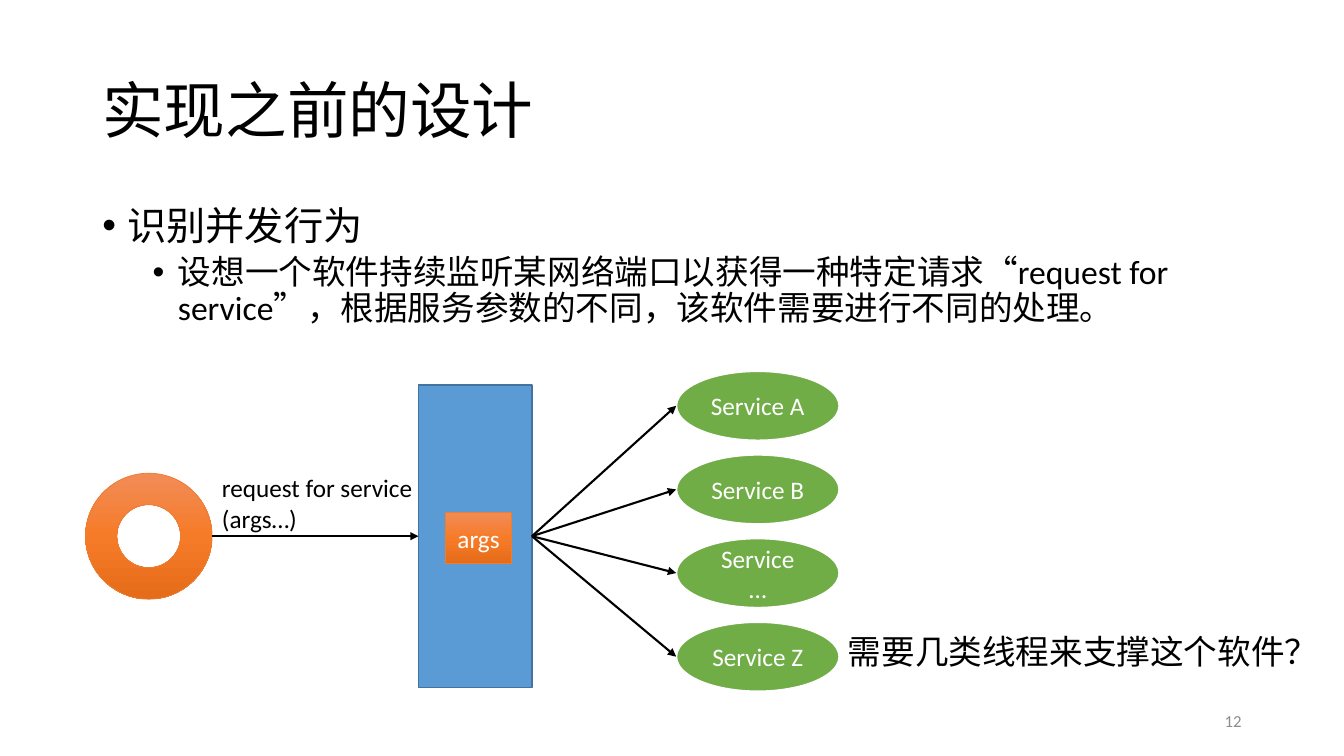
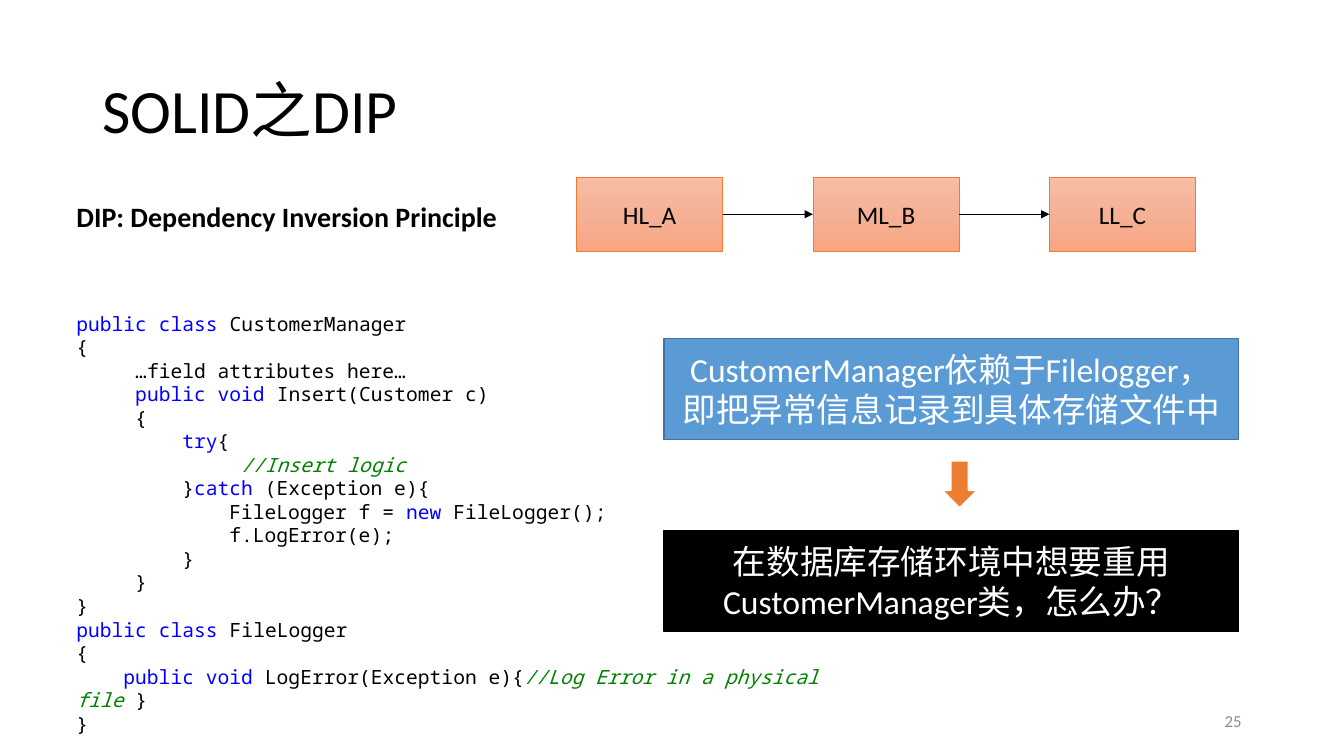
from copy import deepcopy
from lxml.etree import SubElement
from pptx import Presentation
from pptx.dml.color import RGBColor
from pptx.enum.shapes import MSO_CONNECTOR, MSO_SHAPE
from pptx.enum.text import MSO_ANCHOR, PP_ALIGN
from pptx.oxml.ns import qn
from pptx.util import Pt

BLACK = RGBColor(0, 0, 0)
WHITE = RGBColor(0xFF, 0xFF, 0xFF)
GRAY = RGBColor(0x8C, 0x8C, 0x8C)
BLUE = RGBColor(0x5B, 0x9B, 0xD5)
DARK_BLUE = RGBColor(0x43, 0x73, 0x9E)
GREEN = RGBColor(0x70, 0xAD, 0x47)
ORANGE = RGBColor(0xED, 0x7D, 0x31)
KEYWORD = RGBColor(0, 0, 0xFF)
COMMENT = RGBColor(0, 0x81, 0)
STRONG_GRADIENT = [RGBColor.from_string(c) for c in ("F18C57", "F67B28", "E56C19")]
SOFT_GRADIENT = [RGBColor.from_string(c) for c in ("F7BDA5", "F5B196", "F8A582")]
CODE_SIZE = 14
CODE_COLUMN = 0.6 * CODE_SIZE


def add_box(slide, lines, left, top, width, height, kind=None, fill=None, line=None,
            line_width=1, size=18, color=BLACK, bold=False, font="Calibri",
            align=PP_ALIGN.LEFT, anchor=MSO_ANCHOR.TOP, wrap=True, spacing=None):
    frame = Pt(left), Pt(top), Pt(width), Pt(height)
    if kind is None:
        shape = slide.shapes.add_textbox(*frame)
    else:
        shape = slide.shapes.add_shape(kind, *frame)
        shape.shadow.inherit = False
        shape.line.color.rgb = line
        shape.line.width = Pt(line_width)
        if isinstance(fill, list):
            shape.fill.gradient()
            shape.fill.gradient_angle = 270
            stop_list = shape._element.spPr.find(qn("a:gradFill")).find(qn("a:gsLst"))
            stop_list.append(deepcopy(stop_list[-1]))
            for index, stop in enumerate(shape.fill.gradient_stops):
                stop.position = index / 2
                stop.color.rgb = fill[index]
        else:
            shape.fill.solid()
            shape.fill.fore_color.rgb = fill
    text_frame = shape.text_frame
    text_frame.word_wrap = wrap
    text_frame.vertical_anchor = anchor
    for index, parts in enumerate(lines):
        paragraph = text_frame.paragraphs[0] if index == 0 else text_frame.add_paragraph()
        paragraph.alignment = align
        paragraph.line_spacing = spacing
        for text, run_color in [(parts, color)] if isinstance(parts, str) else parts:
            run = paragraph.add_run()
            run.text = text
            run.font.name = font
            run.font.size = Pt(size)
            run.font.bold = bold
            run.font.italic = run_color == COMMENT
            run.font.color.rgb = run_color
    return shape


def add_arrow(slide, source, target, width):
    connector = slide.shapes.add_connector(
        MSO_CONNECTOR.STRAIGHT,
        source.left + source.width, source.top + source.height // 2,
        target.left, target.top + target.height // 2)
    connector.line.color.rgb = BLACK
    connector.line.width = Pt(width)
    SubElement(connector.line._get_or_add_ln(), qn("a:tailEnd"), type="triangle")
    SubElement(connector._element.spPr, qn("a:effectLst"))


CENTERED = dict(align=PP_ALIGN.CENTER, anchor=MSO_ANCHOR.MIDDLE)

presentation = Presentation()
presentation.slide_width = Pt(960)
presentation.slide_height = Pt(540)

slides = []
for title, number in (("实现之前的设计", "12"), ("SOLID之DIP", "25")):
    slide = presentation.slides.add_slide(presentation.slide_layouts[6])
    add_box(slide, [title], 66, 28.75, 828, 104.4, size=44, spacing=0.9,
            anchor=MSO_ANCHOR.MIDDLE)
    add_box(slide, [number], 678, 500.5, 216, 28.75, size=12, color=GRAY,
            align=PP_ALIGN.RIGHT, anchor=MSO_ANCHOR.MIDDLE)
    slides.append(slide)
design_slide, dip_slide = slides

body = add_box(design_slide, [
    "识别并发行为",
    "设想一个软件持续监听某网络端口以获得一种特定请求“request for service”，"
    "根据服务参数的不同，该软件需要进行不同的处理。",
], 66, 143.75, 828, 361.5, spacing=0.9)
for paragraph, size, margin, before in zip(body.text_frame.paragraphs, (28, 24), (18, 54), (10, 5)):
    paragraph.runs[0].font.size = Pt(size)
    paragraph.space_before = Pt(before)
    properties = paragraph._p.get_or_add_pPr()
    properties.set("marL", str(Pt(margin)))
    properties.set("indent", str(Pt(-18)))
    SubElement(properties, qn("a:buFont"), typeface="Arial")
    SubElement(properties, qn("a:buChar"), char="•")

listener = add_box(design_slide, [], 299, 275, 81, 216, MSO_SHAPE.RECTANGLE, BLUE, DARK_BLUE)
client = add_box(design_slide, [], 61, 338, 90.5, 90, MSO_SHAPE.DONUT,
                 STRONG_GRADIENT, ORANGE, 0.5)
add_arrow(design_slide, client, listener, 1.5)
add_box(design_slide, ["request for service", "(args…)"], 151.5, 334, 152, 51, wrap=False)
for index, name in enumerate("AB…Z"):
    service = add_box(design_slide, [f"Service {name}"], 483, 265 + 59.75 * index, 116.6, 49.7,
                      MSO_SHAPE.OVAL, GREEN, WHITE, 1.5, color=WHITE, **CENTERED)
    add_arrow(design_slide, listener, service, 1.5)
add_box(design_slide, ["需要几类线程来支撑这个软件？"], 598.5, 447, 353.5, 36, size=24, wrap=False)
add_box(design_slide, ["args"], 318.4, 366, 47, 36.7, MSO_SHAPE.RECTANGLE,
        STRONG_GRADIENT, ORANGE, 0.5, color=WHITE, **CENTERED)

code = [
    (0, [("public class ", KEYWORD), ("CustomerManager", BLACK)]),
    (0, "{"),
    (5, "…field attributes here…"),
    (5, [("public void ", KEYWORD), ("Insert(Customer c)", BLACK)]),
    (5, "{"),
    (9, [("try", KEYWORD), ("{", BLACK)]),
    (14, [("//Insert logic", COMMENT)]),
    (9, [("}", BLACK), ("catch ", KEYWORD), ("(Exception e){", BLACK)]),
    (13, [("FileLogger f = ", BLACK), ("new ", KEYWORD), ("FileLogger();", BLACK)]),
    (13, "f.LogError(e);"),
    (9, "}"),
    (5, "}"),
    (0, "}"),
    (0, [("public class ", KEYWORD), ("FileLogger", BLACK)]),
    (0, "{"),
    (4, [("public void ", KEYWORD), ("LogError(Exception e){", BLACK),
         ("//Log Error in a physical file ", COMMENT), ("}", BLACK)]),
    (0, "}"),
]
listing = add_box(dip_slide, [parts for columns, parts in code], 47.5, 219, 552, 296,
                  size=CODE_SIZE, font="Noto Sans Mono")
for paragraph, (columns, parts) in zip(listing.text_frame.paragraphs, code):
    paragraph._p.get_or_add_pPr().set("indent", str(Pt(columns * CODE_COLUMN)))

for text, top, fill, line in (
    ("CustomerManager依赖于Filelogger，即把异常信息记录到具体存储文件中", 242, BLUE, DARK_BLUE),
    ("在数据库存储环境中想要重用CustomerManager类，怎么办？", 379, BLACK, BLACK),
):
    add_box(dip_slide, [text], 474.3, top, 410.4, 72, MSO_SHAPE.RECTANGLE, fill, line,
            size=24, color=WHITE, **CENTERED)
add_box(dip_slide, [], 672.5, 329, 26, 34, MSO_SHAPE.DOWN_ARROW, ORANGE, WHITE, 1.5)

modules_row = [
    add_box(dip_slide, [name], 411.8 + 168.9 * index, 126.8, 104.4, 52.5,
            MSO_SHAPE.RECTANGLE, SOFT_GRADIENT, ORANGE, 0.5, **CENTERED)
    for index, name in enumerate(("HL_A", "ML_B", "LL_C"))
]
for source, target in zip(modules_row, modules_row[1:]):
    add_arrow(dip_slide, source, target, 1)
add_box(dip_slide, ["DIP: Dependency Inversion Principle"], 47.5, 139, 318, 31.5,
        size=20, bold=True, wrap=False)

presentation.save("out.pptx")
